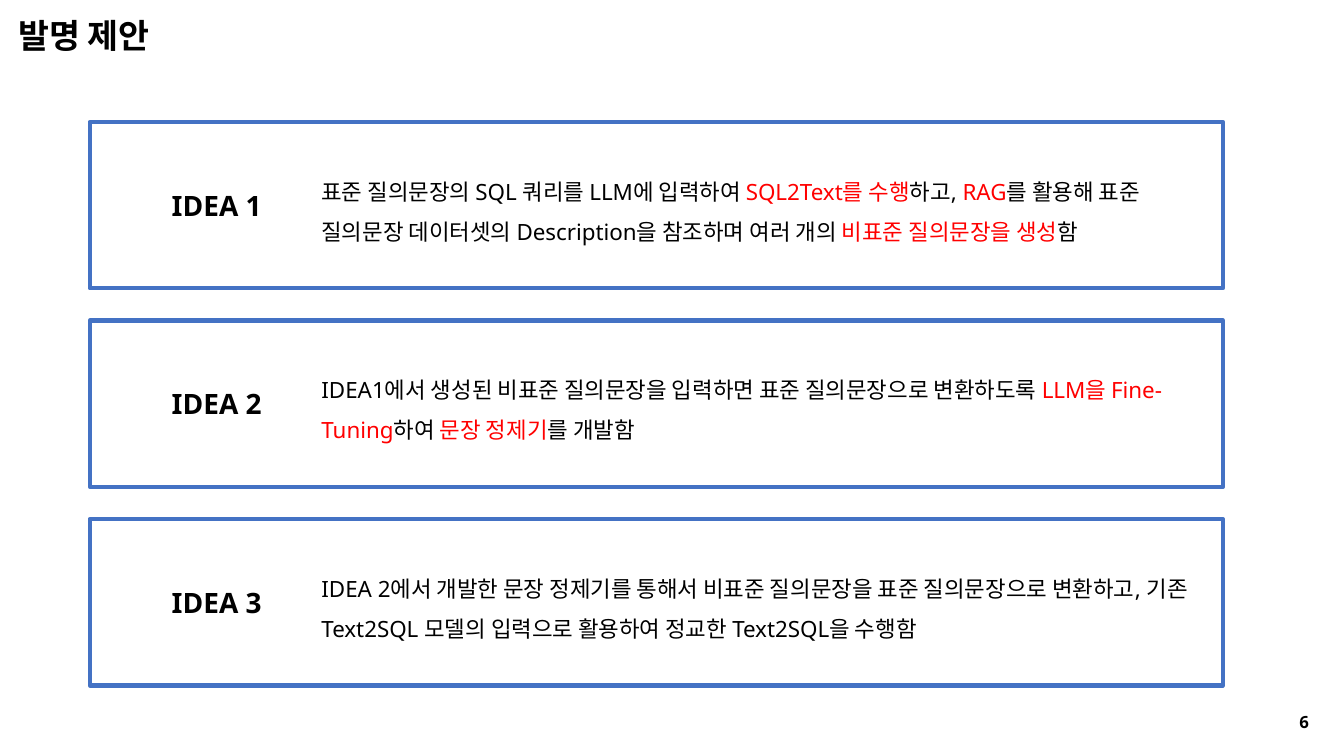
"""Build the invention proposal slide with three framed ideas."""
import pptx
import pptx.dml.color
import pptx.enum.shapes
import pptx.enum.text
import pptx.util

Inches = pptx.util.Inches
Align = pptx.enum.text.PP_ALIGN
BLACK, RED, BLUE, WHITE = "000000", "FF0000", "4472C4", "FFFFFF"


def paint(color, code):
    color.rgb = pptx.dml.color.RGBColor.from_string(code)


def write(shape, parts, size, bold=False, align=Align.LEFT, space=1.0):
    frame = shape.text_frame
    form = {
        "word_wrap": True,
        "auto_size": pptx.enum.text.MSO_AUTO_SIZE.SHAPE_TO_FIT_TEXT,
        "vertical_anchor": pptx.enum.text.MSO_ANCHOR.TOP,
    }
    for key, value in form.items():
        setattr(frame, key, value)
    para = frame.paragraphs[0]
    para.alignment = align
    para.line_spacing = space
    style = {"name": "Noto Sans", "size": pptx.util.Pt(size), "bold": bold}
    for text, code in parts:
        run = para.add_run()
        run.text = text
        for key, value in style.items():
            setattr(run.font, key, value)
        paint(run.font.color, code)


deck = pptx.Presentation()
deck.slide_width = Inches(13.33)
deck.slide_height = Inches(7.5)
slide = deck.slides.add_slide(deck.slide_layouts[5])
shapes = slide.shapes

title = shapes.title
place = {"left": 0.08, "top": 0.1, "width": 2.85, "height": 0.5}
for key, value in place.items():
    setattr(title, key, Inches(value))
write(title, [("발명 제안", BLACK)], 24, bold=True)

ideas = [
    (8.94, [
        ("표준 질의문장의 SQL 쿼리를 LLM에 입력하여 ", BLACK),
        ("SQL2Text를 수행", RED),
        ("하고, ", BLACK),
        ("RAG", RED),
        ("를 활용해 표준 질의문장 데이터셋의 Description을 참조하며 여러 개의 ", BLACK),
        ("비표준 질의문장을 생성", RED),
        ("함", BLACK),
    ]),
    (8.86, [
        ("IDEA1에서 생성된 비표준 질의문장을 입력하면 표준 질의문장으로 변환하도록 ", BLACK),
        ("LLM을 Fine-Tuning", RED),
        ("하여 ", BLACK),
        ("문장 정제기", RED),
        ("를 개발함", BLACK),
    ]),
    (9.03, [
        ("IDEA 2에서 개발한 문장 정제기를 통해서 비표준 질의문장을 표준 질의문장으로 변환하고, "
         "기존 Text2SQL 모델의 입력으로 활용하여 정교한 Text2SQL을 수행함", BLACK),
    ]),
]

for row, (width, parts) in enumerate(ideas):
    top = 1.21 + 1.97 * row
    frame = shapes.add_shape(
        pptx.enum.shapes.MSO_SHAPE.RECTANGLE,
        Inches(0.89), Inches(top), Inches(11.24), Inches(1.65))
    frame.shadow.inherit = False
    frame.fill.solid()
    paint(frame.fill.fore_color, WHITE)
    paint(frame.line.color, BLUE)
    frame.line.width = pptx.util.Pt(3)

    label = shapes.add_textbox(
        Inches(1.51), Inches(top + 0.61), Inches(1.28), Inches(0.44))
    write(label, [(f"IDEA {row + 1}", BLACK)], 20, bold=True, align=Align.CENTER)

    body = shapes.add_textbox(
        Inches(3.09), Inches(top + 0.37), Inches(width), Inches(0.88))
    write(body, parts, 16, space=1.5)

number = shapes.add_textbox(
    Inches(12.79), Inches(7.01), Inches(0.47), Inches(0.3))
write(number, [("6", BLACK)], 12, bold=True)

deck.save("out.pptx")
